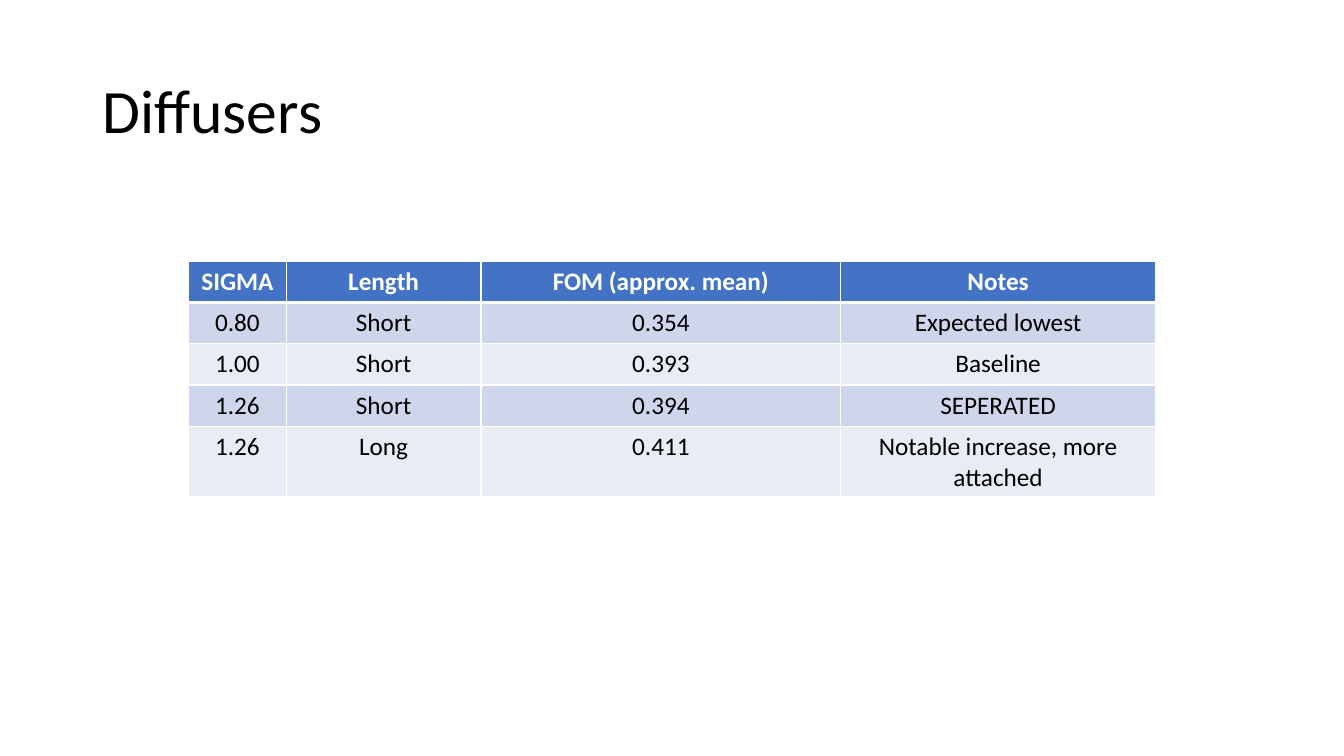
from lxml import etree
from pptx import Presentation
from pptx.dml.color import RGBColor
from pptx.enum.text import MSO_ANCHOR, PP_ALIGN
from pptx.oxml.ns import qn
from pptx.util import Inches, Pt

MIDDLE = MSO_ANCHOR.MIDDLE
LEFT, CENTER = PP_ALIGN.LEFT, PP_ALIGN.CENTER
COLORS = {
    "black": "000000",
    "white": "FFFFFF",
    "head": "4472C4",
    "odd": "CFD5EA",
    "even": "E9EBF5",
}
WIDTHS = [0.97, 1.93, 3.57, 3.12]
HEIGHTS = [0.41, 0.41, 0.41, 0.41, 0.68]
ROWS = [
    ["SIGMA", "Length", "FOM (approx. mean)", "Notes"],
    ["0.80", "Short", "0.354", "Expected lowest"],
    ["1.00", "Short", "0.393", "Baseline"],
    ["1.26", "Short", "0.394", "SEPERATED"],
    ["1.26", "Long", "0.411", "Notable increase, more attached"],
]


class Deck:
    """Slide builder that holds the font, the colors and the current slide."""

    def __init__(self, font, colors):
        self.font = font
        self.colors = colors
        self.prs = Presentation()
        self.prs.slide_width = Inches(13.33)
        self.prs.slide_height = Inches(7.5)
        self.slide = self.prs.slides.add_slide(self.prs.slide_layouts[6])

    def label(self, frame, text, size, color, bold=False, align=LEFT):
        para = frame.paragraphs[0]
        para.alignment = align
        run = para.add_run()
        run.text = text
        run.font.name = self.font
        run.font.size = Pt(size)
        run.font.bold = bold
        run.font.color.rgb = RGBColor.from_string(self.colors[color])
        return para

    def title(self, text, left, top, width, height):
        box = self.slide.shapes.add_textbox(
            Inches(left), Inches(top), Inches(width), Inches(height))
        frame = box.text_frame
        frame.word_wrap = True
        frame.vertical_anchor = MIDDLE
        self.label(frame, text, 44, "black").line_spacing = 0.9

    def edge(self, cell, side, width):
        line = etree.SubElement(
            cell._tc.get_or_add_tcPr(), qn(f"a:ln{side}"), w=str(Pt(width)))
        fill = etree.SubElement(line, qn("a:solidFill"))
        etree.SubElement(fill, qn("a:srgbClr"), val=self.colors["white"])

    def cell(self, cell, text, row):
        head = row == 0
        edges = {"L": 1, "R": 1, "T": 3 if row == 1 else 1, "B": 3 if head else 1}
        for side, width in edges.items():
            self.edge(cell, side, width)
        shade = "head" if head else "odd" if row % 2 else "even"
        cell.fill.solid()
        cell.fill.fore_color.rgb = RGBColor.from_string(self.colors[shade])
        color = "white" if head else "black"
        self.label(cell.text_frame, text, 18, color, head, CENTER)

    def table(self, rows, widths, heights, left, top):
        table = self.slide.shapes.add_table(
            len(rows), len(widths), Inches(left), Inches(top),
            Inches(sum(widths)), Inches(sum(heights))).table
        for col, width in zip(table.columns, widths):
            col.width = Inches(width)
        for row, height in zip(table.rows, heights):
            row.height = Inches(height)
        for r, texts in enumerate(rows):
            for c, text in enumerate(texts):
                self.cell(table.cell(r, c), text, r)


def main():
    deck = Deck("Calibri", COLORS)
    deck.title("Diffusers", 0.92, 0.4, 11.5, 1.45)
    deck.table(ROWS, WIDTHS, HEIGHTS, 1.87, 2.59)
    deck.prs.save("out.pptx")


if __name__ == "__main__":
    main()
